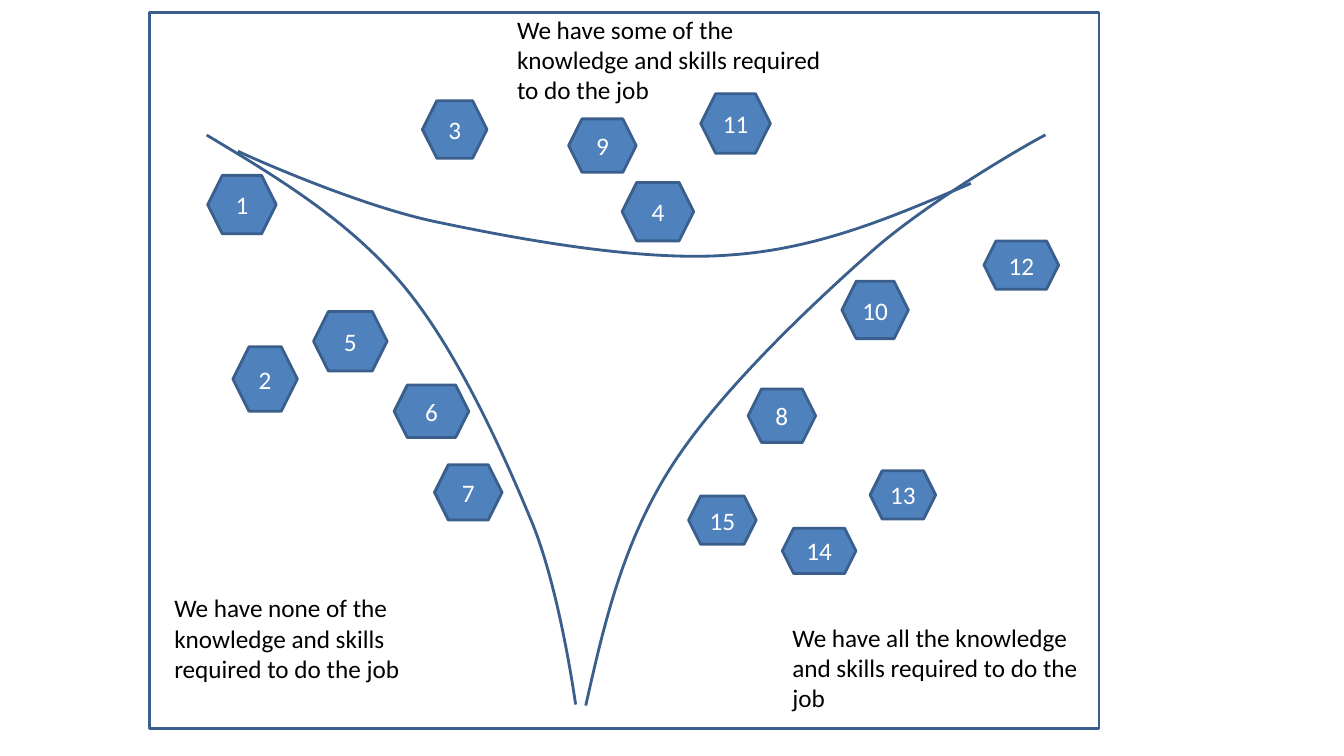
from pptx import Presentation
from pptx import util as u
from pptx.dml.color import RGBColor
from pptx.enum import shapes, text
from pptx.oxml.ns import qn
from lxml import etree

BLUE = RGBColor(0x4F, 0x81, 0xBD)
OUTLINE = RGBColor(0x3A, 0x5F, 0x8C)
WHITE = RGBColor(0xFF, 0xFF, 0xFF)
BLACK = RGBColor(0, 0, 0)

# Content: lengths in inches on a 13.33 x 7.5 slide
FRAME = (1.48, 0.12, 9.42, 7.11)

# Number: left, top, width, height
HEXAGONS = {
    1: (2.06, 1.74, 0.68, 0.58),
    9: (5.64, 1.18, 0.67, 0.53),
    2: (2.31, 3.44, 0.64, 0.64),
    5: (3.11, 3.09, 0.73, 0.59),
    4: (6.17, 1.81, 0.71, 0.58),
    6: (3.91, 3.82, 0.74, 0.52),
    15: (6.83, 4.92, 0.67, 0.48),
    7: (4.31, 4.61, 0.67, 0.55),
    8: (7.42, 3.86, 0.67, 0.53),
    3: (4.19, 1.00, 0.64, 0.57),
    14: (7.76, 5.24, 0.73, 0.45),
    13: (8.63, 4.67, 0.65, 0.48),
    10: (8.35, 2.79, 0.66, 0.57),
    12: (9.76, 2.39, 0.74, 0.48),
    11: (6.95, 0.93, 0.69, 0.59),
}

LABELS = [
    ("We have all the knowledge and skills required to do the job",
     (7.76, 6.12, 3.03, 1.01)),
    ("We have some of the knowledge and skills required to do the job",
     (5.03, 0.09, 3.27, 1.01)),
    ("We have none of the knowledge and skills required to do the job",
     (1.63, 5.83, 2.59, 1.01)),
]

# Start point, then two handles and an end point for each Bézier segment
LEFT_CURVE = [(2.05, 1.34),
              (2.75, 1.76), (3.45, 2.18), (3.99, 2.82),
              (4.53, 3.46), (4.99, 4.49), (5.28, 5.19),
              (5.56, 5.88), (5.71, 7.00), (5.71, 6.99)]
RIGHT_CURVE = [(5.81, 7.00),
               (5.99, 6.20), (6.17, 5.41), (6.64, 4.66),
               (7.11, 3.91), (8.02, 3.05), (8.64, 2.50),
               (9.26, 1.95), (10.37, 1.33), (10.37, 1.34)]
TOP_CURVE = [(9.63, 1.82),
             (8.88, 2.14), (8.13, 2.47), (7.24, 2.53),
             (6.36, 2.60), (5.13, 2.37), (4.32, 2.20),
             (3.51, 2.03), (2.35, 1.50), (2.36, 1.50)]

deck = Presentation()
deck.slide_width, deck.slide_height = u.Inches(13.33), u.Inches(7.5)
page = deck.slides.add_slide(deck.slide_layouts[6])


def style(shape, fill=None):
    shape.shadow.inherit = False
    if fill is None:
        shape.fill.background()
    else:
        shape.fill.solid()
        shape.fill.fore_color.rgb = fill
    shape.line.color.rgb = OUTLINE
    shape.line.width = u.Pt(2)


def add_preset(kind, place, fill=None):
    shape = page.shapes.add_shape(kind, *map(u.Inches, place))
    style(shape, fill)
    return shape


def write(shape, words, color):
    para = shape.text_frame.paragraphs[0]
    para.text = words
    para.font.name, para.font.size = "Calibri", u.Pt(18)
    para.font.color.rgb = color
    return para


def add_curve(points):
    # The builder keeps whole units only, so points go in as EMU
    start, *rest = [(u.Inches(x), u.Inches(y)) for x, y in points]
    builder = page.shapes.build_freeform(*start)
    builder.add_line_segments(rest, close=False)
    shape = builder.convert_to_shape()
    style(shape)
    # Group every three line points into one cubic Bézier segment
    steps = list(shape.element.iter(qn("a:lnTo")))
    for first in range(0, len(steps), 3):
        trio = steps[first:first + 3]
        bezier = etree.Element(qn("a:cubicBezTo"))
        trio[0].addprevious(bezier)
        for step in trio:
            bezier.append(step[0])
            step.getparent().remove(step)


# Numbered hexagons
for number, place in HEXAGONS.items():
    hexagon = add_preset(shapes.MSO_SHAPE.HEXAGON, place, BLUE)
    hexagon.text_frame.word_wrap = False
    hexagon.text_frame.vertical_anchor = text.MSO_ANCHOR.MIDDLE
    write(hexagon, str(number), WHITE).alignment = text.PP_ALIGN.CENTER

# Frame and region labels
add_curve(LEFT_CURVE)
add_preset(shapes.MSO_SHAPE.RECTANGLE, FRAME)
for words, place in LABELS:
    box = page.shapes.add_textbox(*map(u.Inches, place))
    box.text_frame.word_wrap = True
    box.text_frame.auto_size = text.MSO_AUTO_SIZE.SHAPE_TO_FIT_TEXT
    write(box, words, BLACK)

# Remaining borders between regions
for curve in (RIGHT_CURVE, TOP_CURVE):
    add_curve(curve)

deck.save("out.pptx")
